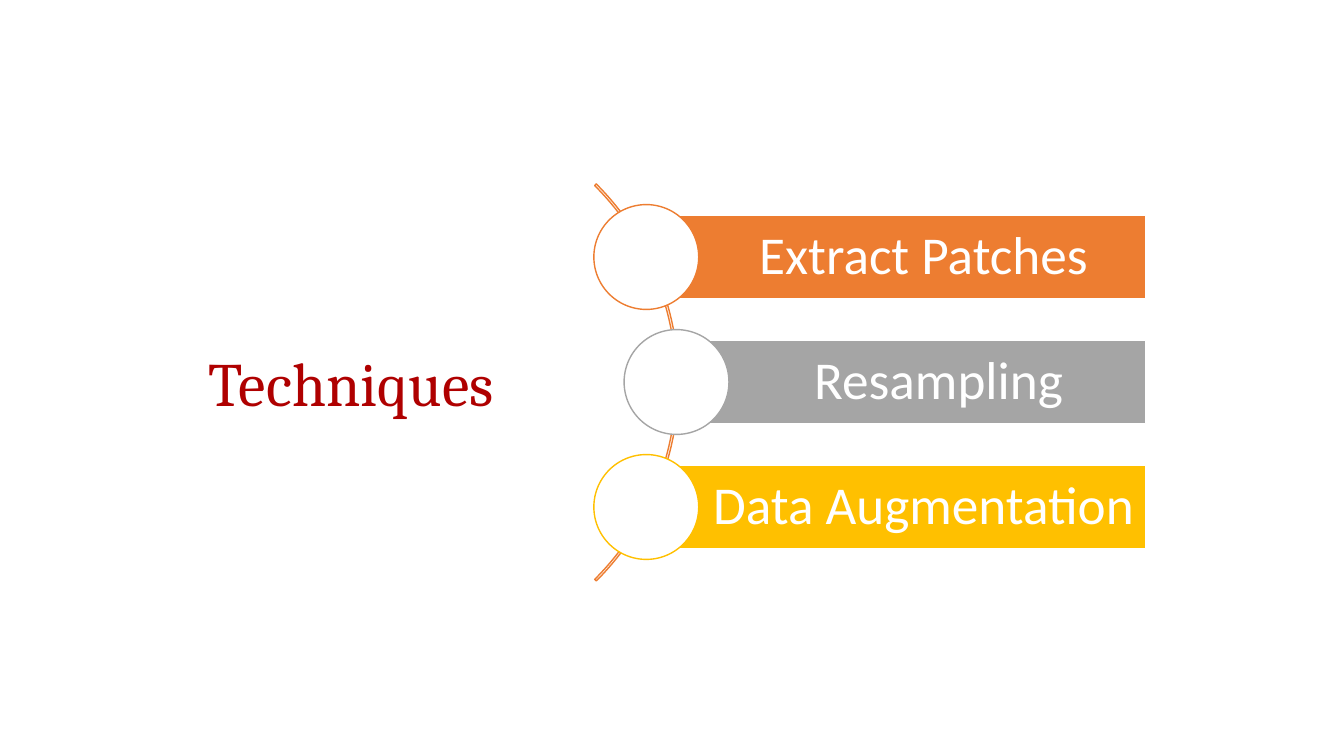
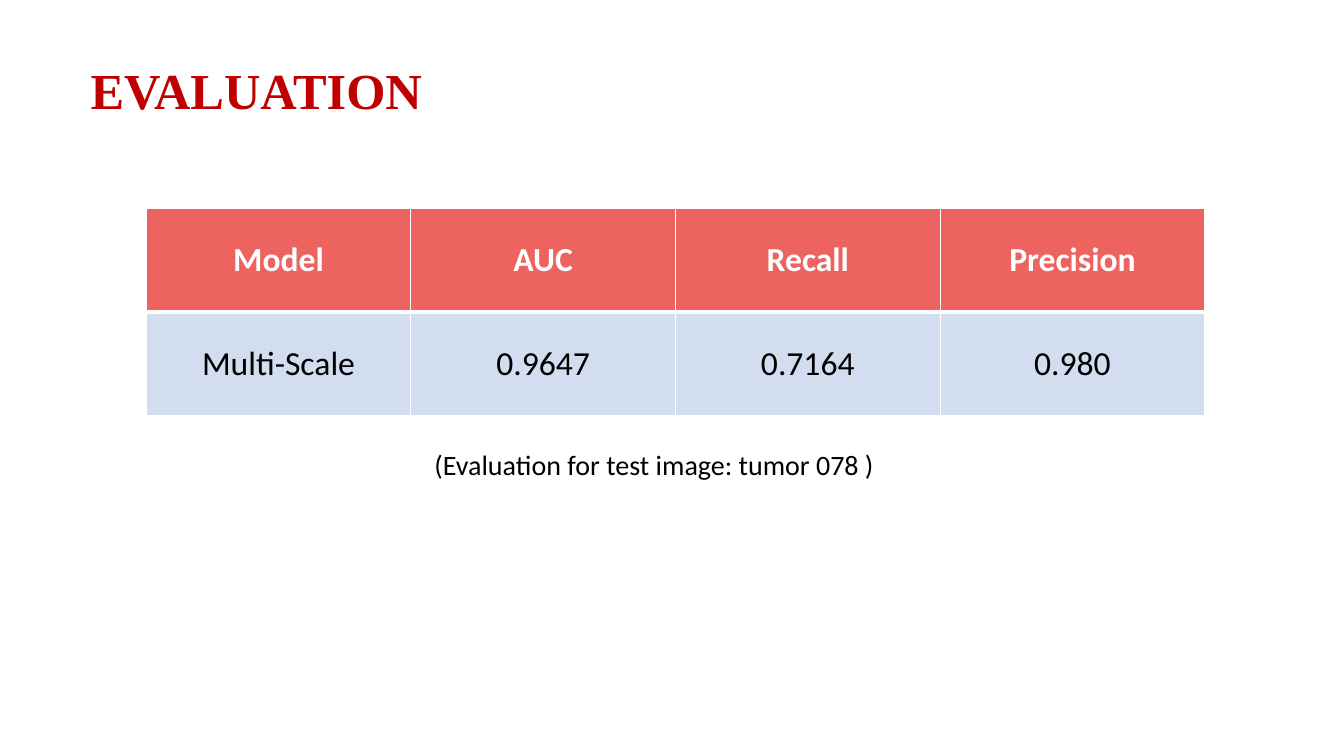
"""Build two slides: a list of techniques along an arc and an evaluation table."""
from dataclasses import dataclass

import pptx
import pptx.dml.color
import pptx.enum.shapes
import pptx.enum.text
import pptx.oxml.ns
import pptx.util
from lxml import etree

RGBColor = pptx.dml.color.RGBColor
MSO_SHAPE = pptx.enum.shapes.MSO_SHAPE
MSO_ANCHOR = pptx.enum.text.MSO_ANCHOR
MSO_AUTO_SIZE = pptx.enum.text.MSO_AUTO_SIZE
PP_ALIGN = pptx.enum.text.PP_ALIGN
Pt = pptx.util.Pt
qn = pptx.oxml.ns.qn

PX_PER_INCH = 100
WHITE = RGBColor(0xFF, 0xFF, 0xFF)
BLACK = RGBColor(0x00, 0x00, 0x00)
ORANGE = RGBColor(0xED, 0x7D, 0x31)
GREY = RGBColor(0xA5, 0xA5, 0xA5)
GOLD = RGBColor(0xFF, 0xC0, 0x00)
DARK_RED = RGBColor(0xAF, 0x00, 0x00)
RED = RGBColor(0xC0, 0x00, 0x00)
CORAL = RGBColor(0xEC, 0x63, 0x60)
PALE_BLUE = RGBColor(0xD2, 0xDE, 0xEF)
BODY_FONT = "Calibri"

BAR_TOP, BAR_PITCH, BAR_HEIGHT, BAR_RIGHT = 214, 124, 82, 1136
CIRCLE = 104


@dataclass
class Box:
    left: int
    top: int
    width: int
    height: int

    def emu(self) -> list[int]:
        return [px(n) for n in (self.left, self.top, self.width, self.height)]


@dataclass
class Technique:
    label: str
    left: int
    color: RGBColor


@dataclass
class TextStyle:
    font: str
    size: int
    color: RGBColor
    bold: bool = False
    align: PP_ALIGN = PP_ALIGN.CENTER


@dataclass
class RowStyle:
    fill: RGBColor
    text: TextStyle
    top: int
    bottom: int


TECHNIQUES = [
    Technique("Extract Patches", 641, ORANGE),
    Technique("Resampling", 671, GREY),
    Technique("Data Augmentation", 641, GOLD),
]
BAR_TEXT = TextStyle(BODY_FONT, 38, WHITE)
NOTE_TEXT = TextStyle(BODY_FONT, 20, BLACK, align=PP_ALIGN.LEFT)
ROW_STYLES = [
    RowStyle(CORAL, TextStyle(BODY_FONT, 24, WHITE, bold=True), 1, 3),
    RowStyle(PALE_BLUE, TextStyle(BODY_FONT, 24, BLACK), 3, 1),
]
RESULTS = [
    ["Model", "AUC", "Recall", "Precision"],
    ["Multi-Scale", "0.9647", "0.7164", "0.980"],
]


def px(n: int) -> int:
    return pptx.util.Emu(n * 914400 // PX_PER_INCH)


def write(tf, text: str, style: TextStyle):
    p = tf.paragraphs[0]
    p.text = text
    p.alignment = style.align
    p.font.name = style.font
    p.font.size = Pt(style.size)
    p.font.bold = style.bold
    p.font.color.rgb = style.color
    return p


def add_titled_slide(prs, title: str, box: Box, style: TextStyle):
    s = prs.slides.add_slide(prs.slide_layouts[5])
    sp = s.shapes.title
    sp.left, sp.top, sp.width, sp.height = box.emu()
    tf = sp.text_frame
    tf.word_wrap = True
    tf.vertical_anchor = MSO_ANCHOR.TOP
    tf.auto_size = MSO_AUTO_SIZE.SHAPE_TO_FIT_TEXT
    write(tf, title, style)
    return s


def add_outlined(shapes, kind: MSO_SHAPE, box: Box, fill: RGBColor | None, line: RGBColor):
    sp = shapes.add_shape(kind, *box.emu())
    sp.shadow.inherit = False
    if fill is None:
        sp.fill.background()
    else:
        sp.fill.solid()
        sp.fill.fore_color.rgb = fill
    sp.line.color.rgb = line
    sp.line.width = Pt(1)
    return sp


def add_technique(shapes, technique: Technique, top: int) -> None:
    left = technique.left
    bar = add_outlined(shapes, MSO_SHAPE.RECTANGLE,
                       Box(left, top, BAR_RIGHT - left, BAR_HEIGHT), technique.color, WHITE)
    tf = bar.text_frame
    tf.word_wrap = True
    tf.vertical_anchor = MSO_ANCHOR.MIDDLE
    tf.margin_left = px(66)
    tf.margin_top = tf.margin_right = tf.margin_bottom = px(11)
    write(tf, technique.label, BAR_TEXT).line_spacing = 0.9
    circle_top = top - (CIRCLE - BAR_HEIGHT) // 2
    add_outlined(shapes, MSO_SHAPE.OVAL,
                 Box(left - CIRCLE // 2, circle_top, CIRCLE, CIRCLE), WHITE, technique.color)


def set_borders(cell, widths: dict[str, int]) -> None:
    tc_pr = cell._tc.get_or_add_tcPr()
    for side, width in widths.items():
        ln = etree.SubElement(tc_pr, qn(f"a:ln{side}"), w=str(Pt(width)))
        fill = etree.SubElement(ln, qn("a:solidFill"))
        etree.SubElement(fill, qn("a:srgbClr"), val=str(WHITE))


def add_results(s, box: Box) -> None:
    table = s.shapes.add_table(len(RESULTS), len(RESULTS[0]), *box.emu()).table
    for r, (values, style) in enumerate(zip(RESULTS, ROW_STYLES)):
        for c, value in enumerate(values):
            cell = table.cell(r, c)
            set_borders(cell, {"L": 1, "R": 1, "T": style.top, "B": style.bottom})
            cell.fill.solid()
            cell.fill.fore_color.rgb = style.fill
            cell.vertical_anchor = MSO_ANCHOR.MIDDLE
            write(cell.text_frame, value, style.text)


def build_techniques(prs) -> None:
    s = add_titled_slide(prs, "Techniques", Box(144, 337, 409, 84),
                         TextStyle("Cambria", 44, DARK_RED))
    shapes = s.shapes.add_group_shape().shapes
    arc = add_outlined(shapes, MSO_SHAPE.BLOCK_ARC, Box(116, 101, 557, 557), None, ORANGE)
    for i, value in enumerate((189, 27, 0.004)):
        arc.adjustments[i] = value
    for i, technique in enumerate(TECHNIQUES):
        add_technique(shapes, technique, BAR_TOP + i * BAR_PITCH)


def build_evaluation(prs) -> None:
    s = add_titled_slide(prs, "EVALUATION ", Box(78, 54, 365, 71),
                         TextStyle("Times New Roman", 36, RED, bold=True))
    title = s.shapes.title
    title.fill.solid()
    title.fill.fore_color.rgb = WHITE
    add_results(s, Box(145, 207, 1050, 205))
    tf = s.shapes.add_textbox(*Box(421, 439, 460, 44).emu()).text_frame
    tf.word_wrap = False
    tf.auto_size = MSO_AUTO_SIZE.SHAPE_TO_FIT_TEXT
    write(tf, "(Evaluation for test image: tumor 078 )", NOTE_TEXT)


def main() -> None:
    prs = pptx.Presentation()
    prs.slide_width, prs.slide_height = px(1333), px(750)
    build_techniques(prs)
    build_evaluation(prs)
    prs.save("out.pptx")


if __name__ == "__main__":
    main()
